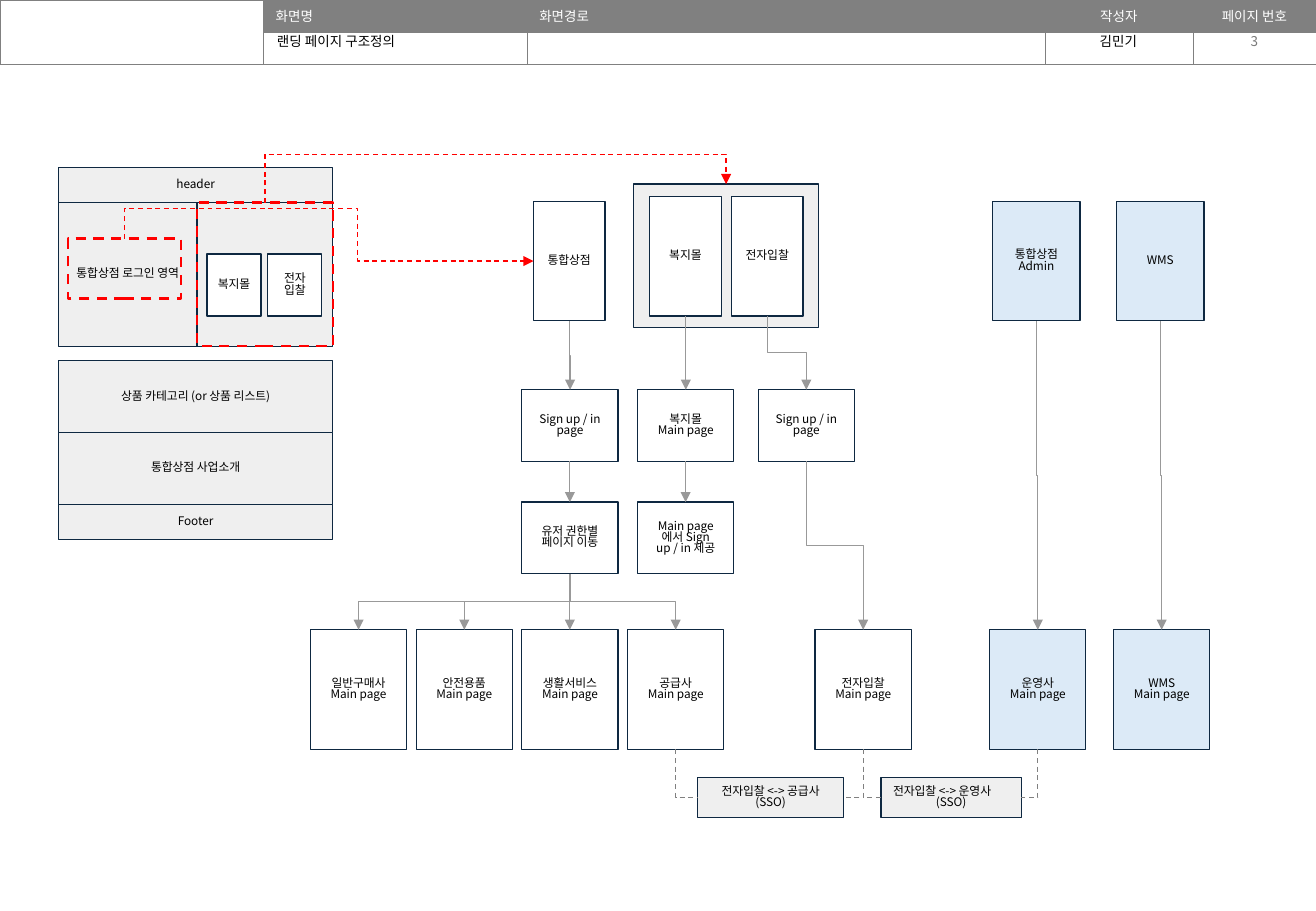
from dataclasses import dataclass

from lxml.etree import SubElement
from pptx import Presentation
from pptx.dml.color import RGBColor
from pptx.enum.dml import MSO_LINE
from pptx.enum.shapes import MSO_CONNECTOR, MSO_SHAPE
from pptx.enum.text import MSO_ANCHOR, PP_ALIGN
from pptx.oxml.ns import qn
from pptx.util import Cm, Pt

TOP, LEFT, BOTTOM, RIGHT = range(4)


@dataclass(frozen=True)
class Theme:
    """Colours, font and sizes of the slide."""
    font: str = "Noto Sans CJK KR"
    head: int = 8
    body: int = 7
    black: str = "000000"
    white: str = "FFFFFF"
    navy: str = "0E2841"
    pale: str = "EFEFEF"
    blue: str = "DCEAF7"
    gray: str = "808080"
    mute: str = "797979"
    arrow: str = "999999"
    red: str = "FF0000"
    thin: float = 0.75
    bold: float = 1.5


def write(frame, text, size=8, color="000000", font="Noto Sans CJK KR",
          align=PP_ALIGN.CENTER, first=None, inset=(0.25, 0.13), spacing=None):
    """Fill a text frame, one paragraph per line."""
    frame.word_wrap = True
    frame.vertical_anchor = MSO_ANCHOR.MIDDLE
    frame.margin_left = frame.margin_right = Cm(inset[0])
    frame.margin_top = frame.margin_bottom = Cm(inset[1])
    for i, line in enumerate(text.split("\n")):
        para = frame.paragraphs[0] if i == 0 else frame.add_paragraph()
        para.alignment = first if first is not None and i == 0 else align
        if spacing:
            para.line_spacing = spacing
        run = para.add_run()
        run.text = line
        run.font.size = Pt(size)
        run.font.name = font
        run.font.color.rgb = RGBColor.from_string(color)
        SubElement(run.font._element, qn("a:ea"), typeface=font)


class Board:
    """Draws the elements of one slide in a theme."""

    def __init__(self, deck, theme):
        """Add a title-only slide."""
        self.theme = theme
        self.slide = deck.slides.add_slide(deck.slide_layouts[5])
        self.shapes = self.slide.shapes

    def title(self, text, x, y, w, h):
        """Place and format the title."""
        shape = self.shapes.title
        shape.left, shape.top, shape.width, shape.height = map(Cm, (x, y, w, h))
        write(shape.text_frame, text, size=self.theme.head, font=self.theme.font,
              align=PP_ALIGN.LEFT)

    def label(self, text, x, y, w, h, color):
        """Add a text box."""
        shape = self.shapes.add_textbox(*map(Cm, (x, y, w, h)))
        write(shape.text_frame, text, size=self.theme.head, color=color, font=self.theme.font)

    def box(self, text, x, y, w, h, fill=None, line=None, weight=None,
            dash=False, side=0.25, first=None):
        """Add a rectangle with centred text."""
        t = self.theme
        shape = self.shapes.add_shape(MSO_SHAPE.RECTANGLE, *map(Cm, (x, y, w, h)))
        shape.shadow.inherit = False
        if fill:
            shape.fill.solid()
            shape.fill.fore_color.rgb = RGBColor.from_string(fill)
        else:
            shape.fill.background()
        shape.line.color.rgb = RGBColor.from_string(line or t.navy)
        shape.line.width = Pt(weight or t.thin)
        if dash:
            shape.line.dash_style = MSO_LINE.DASH
        if text:
            write(shape.text_frame, text, size=t.body, color=t.black, font=t.font,
                  inset=(side, 0.25), spacing=0.8, first=first)
        return shape

    def link(self, start, end, sides=(BOTTOM, TOP), color=None, dash=False,
             arrow=True, bends=3, adjust=()):
        """Join two boxes with an elbow line that leaves vertically."""
        line = self.shapes.add_connector(MSO_CONNECTOR.ELBOW, 0, 0, 0, 0)
        line.begin_connect(start, sides[0])
        line.end_connect(end, sides[1])
        x1, y1, x2, y2 = line.begin_x, line.begin_y, line.end_x, line.end_y
        wide, high = abs(y2 - y1), abs(x2 - x1)
        line.left, line.top = (x1 + x2 - wide) // 2, (y1 + y2 - high) // 2
        line.width, line.height = wide, high
        props = line._element.spPr
        frame = props.find(qn("a:xfrm"))
        right, up = x2 >= x1, y2 < y1
        frame.set("rot", "16200000" if right and not up else "5400000")
        frame.set("flipH", str(int(right)))
        frame.set("flipV", str(int(up)))
        geom = props.find(qn("a:prstGeom"))
        geom.set("prst", f"bentConnector{bends}")
        for i, value in enumerate(adjust, 1):
            SubElement(geom.find(qn("a:avLst")), qn("a:gd"), name=f"adj{i}",
                       fmla=f"val {round(value * 100000)}")
        line.line.color.rgb = RGBColor.from_string(color or self.theme.arrow)
        line.line.width = Pt(self.theme.thin)
        if dash:
            line.line.dash_style = MSO_LINE.DASH
        if arrow:
            SubElement(props.find(qn("a:ln")), qn("a:tailEnd"), type="triangle")
        SubElement(props, qn("a:effectLst"))

    def table(self, heads, widths, row):
        """Add the two-row page header."""
        t = self.theme
        grid = self.shapes.add_table(2, len(heads), 0, 0, Cm(sum(widths)), Cm(2 * row)).table
        grid.first_row = grid.horz_banding = False
        for col, width in zip(grid.columns, widths):
            col.width = Cm(width)
        for r in range(2):
            grid.rows[r].height = Cm(row)
            for c, head in enumerate(heads):
                cell = grid.cell(r, c)
                props = cell._tc.get_or_add_tcPr()
                for edge in "LRTB":
                    ln = SubElement(props, qn(f"a:ln{edge}"), w="3175")
                    SubElement(SubElement(ln, qn("a:solidFill")), qn("a:srgbClr"), val=t.gray)
                if r == 0 and head:
                    cell.fill.solid()
                    cell.fill.fore_color.rgb = RGBColor.from_string(t.gray)
                    write(cell.text_frame, head, size=t.head, color=t.white, font=t.font,
                          align=PP_ALIGN.CENTER if c > 2 else PP_ALIGN.LEFT)
                else:
                    cell.fill.background()
                    SubElement(cell.text_frame.paragraphs[0]._p, qn("a:endParaRPr"),
                               sz=str(t.head * 100))
                cell.vertical_anchor = MSO_ANCHOR.MIDDLE
        grid.cell(0, 0).merge(grid.cell(1, 0))


def main():
    """Build the landing page structure slide."""
    deck = Presentation()
    deck.slide_width, deck.slide_height = Cm(27.51), Cm(19.05)
    t = Theme()
    b = Board(deck, t)
    b.table(["", "화면명", "화면경로", "작성자", "페이지 번호"],
            [5.51, 5.51, 10.82, 3.1, 2.57], 0.67)
    b.title("랜딩 페이지 구조정의", 5.54, 0.56, 5.46, 0.61)
    b.label("김민기", 21.82, 0.56, 3.12, 0.61, t.black)
    b.label("3", 24.95, 0.56, 2.55, 0.61, t.mute)

    for text, y, h in [("header", 3.51, 0.74), ("Footer", 10.54, 0.75),
                       ("통합상점 사업소개", 9.05, 1.5),
                       ("상품 카테고리 (or 상품 리스트)", 7.54, 1.51)]:
        b.box(text, 1.22, y, 5.74, h, t.pale)
    b.box("통합상점 로그인 영역", 1.22, 4.24, 2.9, 3, t.pale)
    b.box("", 4.12, 4.24, 2.84, 3, t.pale)
    b.box("복지몰", 4.33, 5.31, 1.13, 1.3, t.white, side=0.1)
    b.box("전자입찰", 5.6, 5.31, 1.13, 1.3, t.white)
    login = b.box("", 1.42, 4.99, 2.37, 1.25, line=t.red, weight=t.bold, dash=True)
    sites = b.box("", 4.12, 4.24, 2.84, 3, line=t.red, weight=t.bold, dash=True)

    group = b.box("", 13.24, 3.85, 3.88, 3, t.pale)
    plaza = b.box("통합상점", 11.15, 4.21, 1.5, 2.5, t.white)
    mall = b.box("복지몰", 13.58, 4.11, 1.5, 2.5, t.white)
    bid = b.box("전자입찰", 15.29, 4.11, 1.5, 2.5, t.white)
    admin = b.box("통합상점 Admin", 20.75, 4.21, 1.83, 2.5, t.blue)
    store = b.box("WMS", 23.34, 4.21, 1.83, 2.5, t.blue)

    steps = [("Sign up / in\npage", 10.91, 8.15), ("복지몰\nMain page", 13.33, 8.15),
             ("Sign up / in\npage", 15.85, 8.15), ("유저 권한별 페이지 이동", 10.91, 10.5),
             ("Main page에서 Sign up / in 제공", 13.33, 10.5)]
    sign, front, entry, route, offer = [
        b.box(text, x, y, 2.01, 1.5, t.white) for text, x, y in steps]

    names = ["일반구매사", "안전용품", "생활서비스", "공급사"]
    homes = [(name, 6.49 + 2.21 * i, t.white) for i, name in enumerate(names)]
    homes += [("전자입찰", 17.04, t.white), ("운영사", 20.69, t.blue), ("WMS", 23.28, t.blue)]
    pages = [b.box(f"{name}\nMain page", x, 13.17, 2.01, 2.5, fill)
             for name, x, fill in homes]
    supply, tender, agent, stock = pages[3:]
    left = b.box("전자입찰 <-> 공급사\n(SSO)", 14.58, 16.26, 3.06, 0.84, t.pale)
    right = b.box("전자입찰 <-> 운영사\n(SSO)", 18.42, 16.26, 2.93, 0.84, t.pale,
                  first=PP_ALIGN.LEFT)

    flows = [(plaza, sign), (mall, front), (bid, entry), (sign, route), (front, offer),
             (entry, tender), (admin, agent), (store, stock)]
    for start, end in flows + [(route, page) for page in pages[:4]]:
        b.link(start, end)
    b.link(login, plaza, (TOP, LEFT), t.red, dash=True, bends=4, adjust=(-1.35, 0.57))
    b.link(sites, group, (TOP, TOP), t.red, dash=True, adjust=(2.6,))
    for start, end, side in [(supply, left, LEFT), (tender, left, RIGHT),
                             (tender, right, LEFT), (agent, right, RIGHT)]:
        b.link(start, end, (BOTTOM, side), t.gray, dash=True, arrow=False, bends=2)
    deck.save("out.pptx")


if __name__ == "__main__":
    main()
